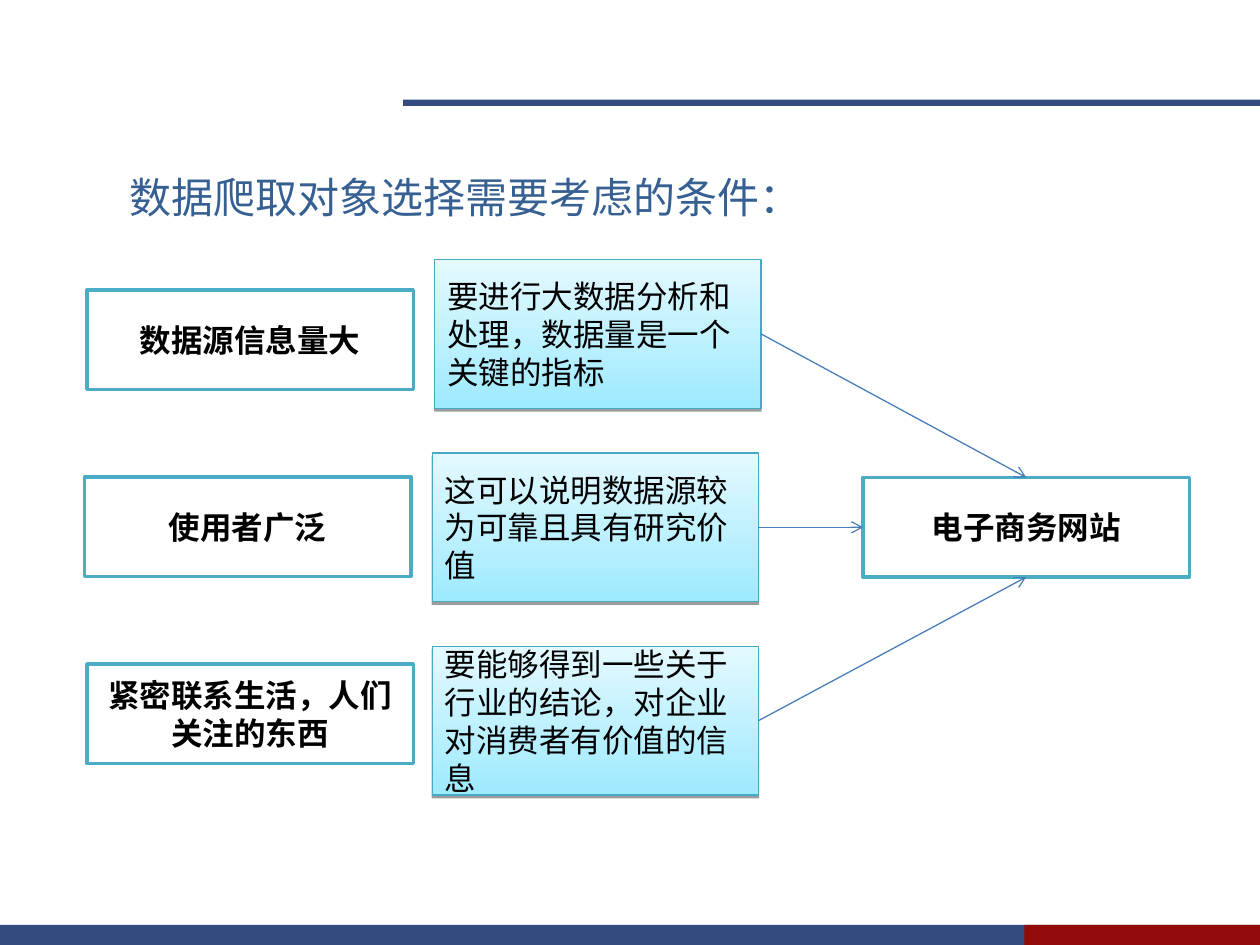
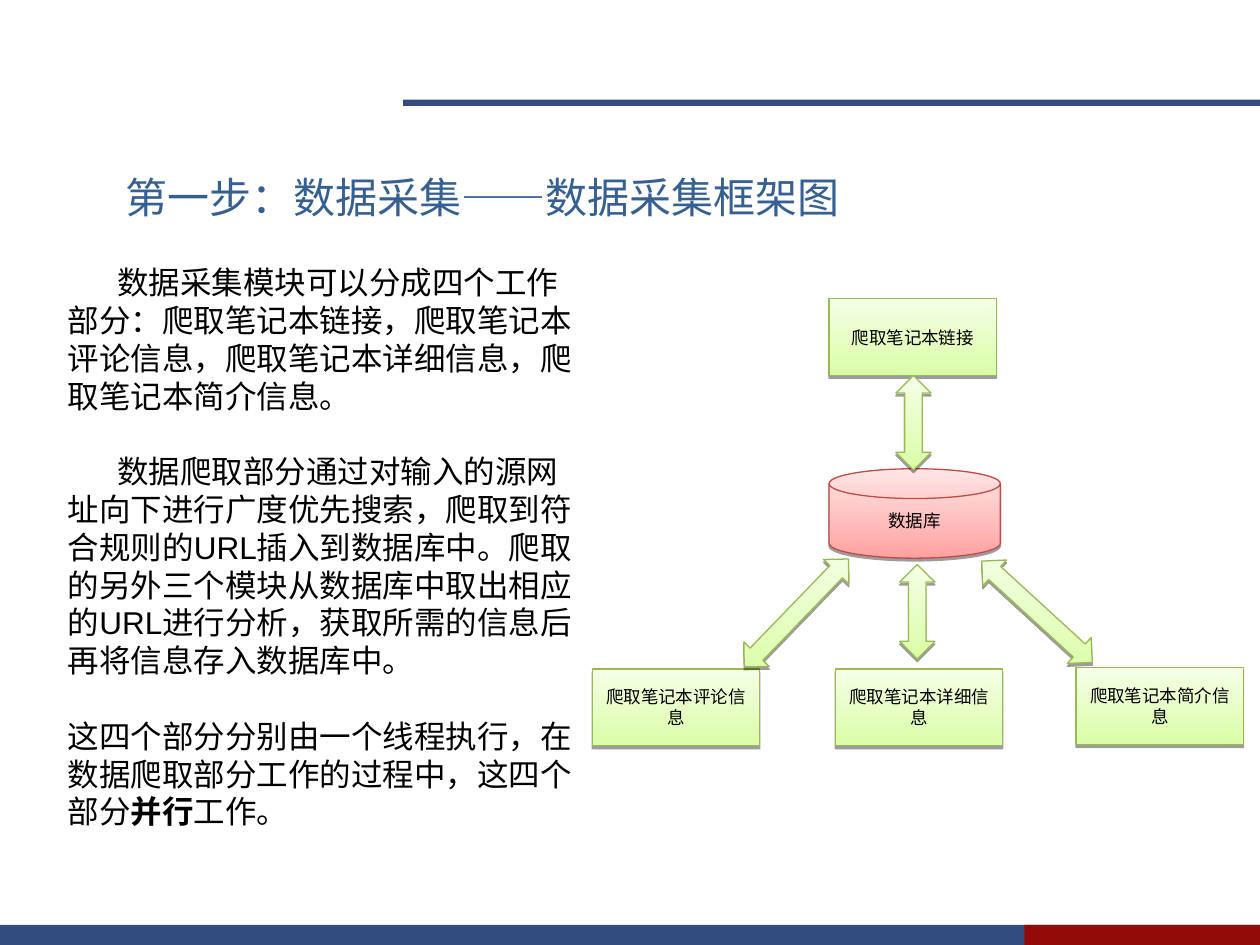
from lxml.etree import SubElement
from pptx import Presentation
from pptx.dml.color import RGBColor
from pptx.enum.shapes import MSO_CONNECTOR as Connector, MSO_SHAPE as Shape
from pptx.enum.text import MSO_ANCHOR as Anchor, MSO_AUTO_SIZE as AutoSize, PP_ALIGN as Align
from pptx.oxml.ns import qn
from pptx.util import Inches, Pt

WHITE = RGBColor(0xFF, 0xFF, 0xFF)
BLACK = RGBColor(0x00, 0x00, 0x00)
NAVY = RGBColor(0x00, 0x20, 0x60)
DARK_RED = RGBColor(0x92, 0x0B, 0x08)
TITLE_BLUE = RGBColor(0x37, 0x60, 0x92)
TEAL = RGBColor(0x4B, 0xAC, 0xC6)
ARROW_BLUE = RGBColor(0x4A, 0x7E, 0xBB)
AQUA_LINE = RGBColor(0x46, 0xAA, 0xC5)
AQUA_DARK = RGBColor(0x9E, 0xEA, 0xFF)
AQUA_LIGHT = RGBColor(0xE4, 0xF9, 0xFF)
GREEN_LINE = RGBColor(0x98, 0xB9, 0x54)
GREEN_DARK = RGBColor(0xDA, 0xFD, 0xA7)
GREEN_LIGHT = RGBColor(0xF5, 0xFF, 0xE6)
RED_LINE = RGBColor(0xBE, 0x4B, 0x48)
RED_DARK = RGBColor(0xFF, 0xA2, 0xA1)
RED_LIGHT = RGBColor(0xFF, 0xE5, 0xE5)

OUTLINED = {"fills": [WHITE], "line": TEAL, "weight": 2}
AQUA = {"fills": [AQUA_DARK, AQUA_LIGHT], "line": AQUA_LINE, "weight": 0.75}
GREEN = {"fills": [GREEN_DARK, GREEN_LIGHT], "line": GREEN_LINE, "weight": 0.75}
RED = {"fills": [RED_DARK, RED_LIGHT], "line": RED_LINE, "weight": 0.75}

EAST_ASIAN = "Noto Sans CJK SC"
TITLE_FONT = {"name": EAST_ASIAN, "size": Pt(24), "color": TITLE_BLUE}
LABEL_FONT = {"name": "Times New Roman", "size": Pt(18), "bold": True}
DETAIL_FONT = {"name": "Times New Roman", "size": Pt(18)}
NODE_FONT = {"name": "Times New Roman", "size": Pt(10)}
BODY_FONT = {"name": "Arial", "size": Pt(18)}

presentation = Presentation()
presentation.slide_width = Inches(10)
presentation.slide_height = Inches(7.5)
COLUMN = presentation.slide_width // 10
ROW = presentation.slide_height / 7.5


def write(shape, paragraphs, font, align=Align.LEFT, **frame_format):
    frame = shape.text_frame
    for name, value in ({"word_wrap": True} | frame_format).items():
        setattr(frame, name, value)
    for index, runs in enumerate(paragraphs):
        paragraph = frame.add_paragraph() if index else frame.paragraphs[0]
        paragraph.alignment = align
        for text, emphasis in runs:
            run = paragraph.add_run()
            run.text = text
            for name, value in (font | emphasis).items():
                if name != "color":
                    setattr(run.font, name, value)
            run.font.color.rgb = font.get("color", BLACK)
            SubElement(run.font._element, qn("a:ea"), typeface=EAST_ASIAN)


def add_block(shapes, kind, left, top, width, height, look, rotation=0):
    shape = shapes.add_shape(kind, int(left * COLUMN), int(top * ROW), int(width * COLUMN), int(height * ROW))
    shape.rotation = rotation
    shape.shadow.inherit = False
    shape.line.color.rgb = look["line"]
    shape.line.width = Pt(look["weight"])
    if len(look["fills"]) == 1:
        shape.fill.solid()
        shape.fill.fore_color.rgb = look["fills"][0]
        return shape
    shape.fill.gradient()
    shape.fill.gradient_angle = (90 + rotation) % 360
    for stop, color in zip(shape.fill.gradient_stops, look["fills"]):
        stop.color.rgb = color
    effects = shape.element.spPr.find(qn("a:effectLst"))
    shadow = SubElement(effects, qn("a:outerShdw"), blurRad="0", dist=str(Pt(1.6)), dir="5400000", rotWithShape="0")
    shadow_color = SubElement(shadow, qn("a:srgbClr"), val="000000")
    SubElement(shadow_color, qn("a:alpha"), val="38000")
    return shape


BANDS = [
    (3.2, 0.79, 6.8, 0.05, NAVY, 80),
    (0, 7.34, 10, 0.16, NAVY, 80),
    (8.13, 7.34, 1.87, 0.16, DARK_RED, 100),
]
TITLES = [
    ("数据爬取对象选择需要考虑的条件：", 0.93, 5.53, False),
    ("第一步：数据采集——数据采集框架图", 0.9, 7.17, True),
]
slides = []
for title, left, width, wrap in TITLES:
    slide = presentation.slides.add_slide(presentation.slide_layouts[6])
    slides.append(slide)
    for *place, color, opacity in BANDS:
        band = add_block(slide.shapes, Shape.RECTANGLE, *place, {"fills": [color], "line": color, "weight": 0})
        band.line.fill.background()
        band_color = band.element.spPr.find(qn("a:solidFill"))[0]
        SubElement(band_color, qn("a:alpha"), val=str(opacity * 1000))
    title_box = slide.shapes.add_textbox(int(left * COLUMN), int(1.31 * ROW), int(width * COLUMN), int(0.5 * ROW))
    write(title_box, [[(title, {})]], TITLE_FONT, word_wrap=wrap, auto_size=AutoSize.SHAPE_TO_FIT_TEXT)

criteria_slide, framework_slide = slides

CRITERIA = [
    ("数据源信息量大", 0.69, "要进行大数据分析和处理，数据量是一个关键的指标", 3.45, 0),
    ("使用者广泛", 0.67, "这可以说明数据源较为可靠且具有研究价值", 3.43, 1),
    ("紧密联系生活，人们关注的东西", 0.69, "要能够得到一些关于行业的结论，对企业对消费者有价值的信息", 3.43, 2),
]
shapes = criteria_slide.shapes
target = add_block(shapes, Shape.RECTANGLE, 6.85, 3.79, 2.59, 0.79, OUTLINED)
write(target, [[("电子商务网站", {})]], LABEL_FONT, Align.CENTER, vertical_anchor=Anchor.MIDDLE)
for index, (label, label_left, detail, detail_left, target_side) in enumerate(CRITERIA):
    label_box = add_block(shapes, Shape.RECTANGLE, label_left, 2.3 + 1.485 * index, 2.59, 0.79, OUTLINED)
    write(label_box, [[(label, {})]], LABEL_FONT, Align.CENTER, vertical_anchor=Anchor.MIDDLE)
    detail_box = add_block(shapes, Shape.RECTANGLE, detail_left, 2.06 + 1.535 * index, 2.59, 1.18, AQUA)
    write(detail_box, [[(detail, {})]], DETAIL_FONT, vertical_anchor=Anchor.MIDDLE)
    arrow = shapes.add_connector(Connector.STRAIGHT, 0, 0, 0, 0)
    arrow.begin_connect(detail_box, 3)
    arrow.end_connect(target, target_side)
    arrow.line.color.rgb = ARROW_BLUE
    arrow.line.width = Pt(0.75)
    SubElement(arrow.line._get_or_add_ln(), qn("a:tailEnd"), type="arrow")
    SubElement(arrow.element.spPr, qn("a:effectLst"))

NODES = [
    ("数据库", Shape.FLOWCHART_MAGNETIC_DISK, 6.58, 3.72, 1.36, 0.71, RED),
    ("爬取笔记本链接", Shape.RECTANGLE, 6.58, 2.37, 1.33, 0.61, GREEN),
    ("爬取笔记本评论信息", Shape.RECTANGLE, 4.7, 5.31, 1.33, 0.61, GREEN),
    ("爬取笔记本详细信息", Shape.RECTANGLE, 6.63, 5.31, 1.33, 0.61, GREEN),
    ("爬取笔记本简介信息", Shape.RECTANGLE, 8.54, 5.3, 1.33, 0.61, GREEN),
]
DATA_FLOWS = [
    (7.11, 2.98, 0.75, 0),
    (7.14, 4.48, 0.75, 0),
    (6.18, 4.27, 1.19, 44),
    (8.09, 4.26, 1.19, 312.5),
]
diagram = framework_slide.shapes.add_group_shape().shapes
for text, kind, *place, look in NODES:
    node = add_block(diagram, kind, *place, look)
    write(node, [[(text, {})]], NODE_FONT, Align.CENTER, vertical_anchor=Anchor.MIDDLE)
for left, top, length, rotation in DATA_FLOWS:
    add_block(diagram, Shape.UP_DOWN_ARROW, left, top, 0.28, length, GREEN, rotation)

BODY = [
    [("数据采集模块可以分成四个工作部分：爬取笔记本链接，爬取笔记本评论信息，"
      "爬取笔记本详细信息，爬取笔记本简介信息。", {})],
    [("数据爬取部分通过对输入的源网址向下进行广度优先搜索，爬取到符合规则的URL插入到数据库中。"
      "爬取的另外三个模块从数据库中取出相应的URL进行分析，获取所需的信息后再将信息存入数据库中。", {})],
    [("这四个部分分别由一个线程执行，在数据爬取部分工作的过程中，这四个部分", {}),
     ("并行", {"bold": True}), ("工作。", {})],
]
body_box = framework_slide.shapes.add_textbox(int(0.44 * COLUMN), int(2.04 * ROW), int(4.28 * COLUMN), int(4.6 * ROW))
write(body_box, BODY, BODY_FONT, auto_size=AutoSize.SHAPE_TO_FIT_TEXT)
for paragraph in body_box.text_frame.paragraphs[:2]:
    paragraph.space_after = Pt(21.6)
    paragraph._p.get_or_add_pPr().set("indent", str(Inches(0.39)))

presentation.save("out.pptx")
